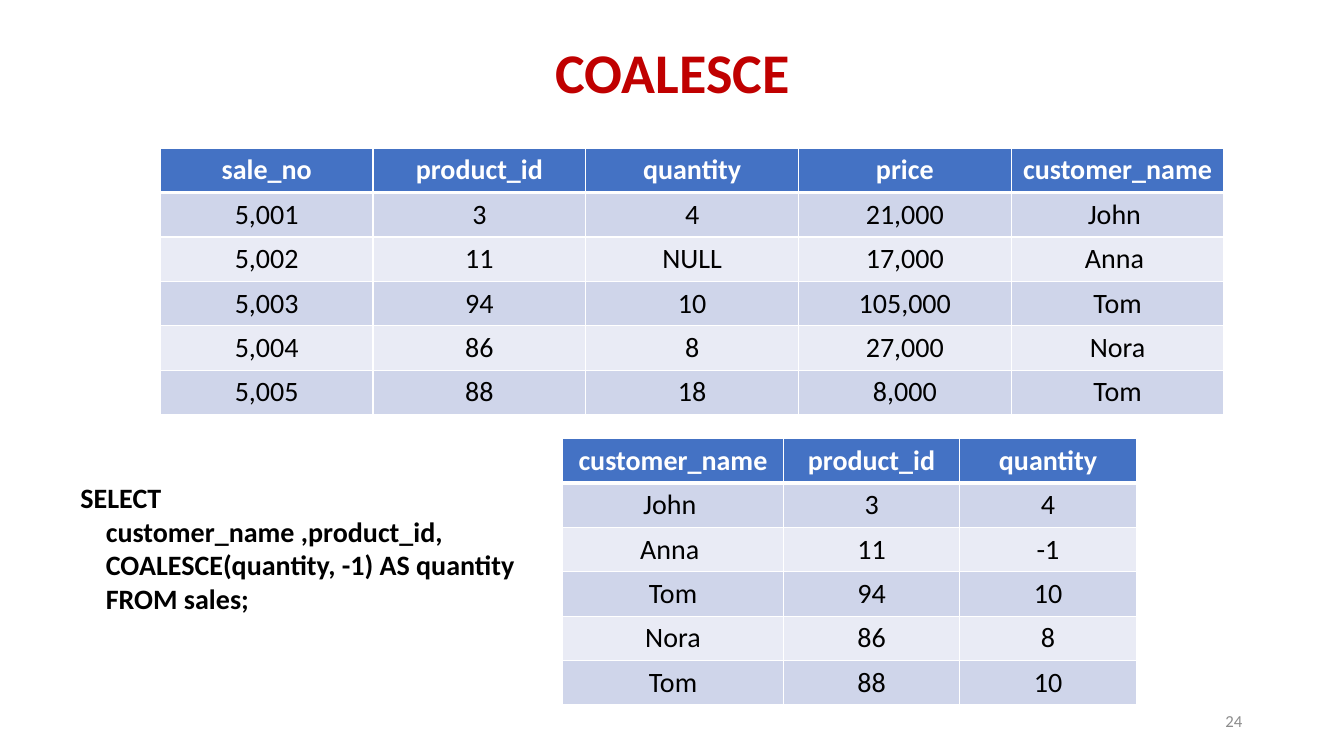
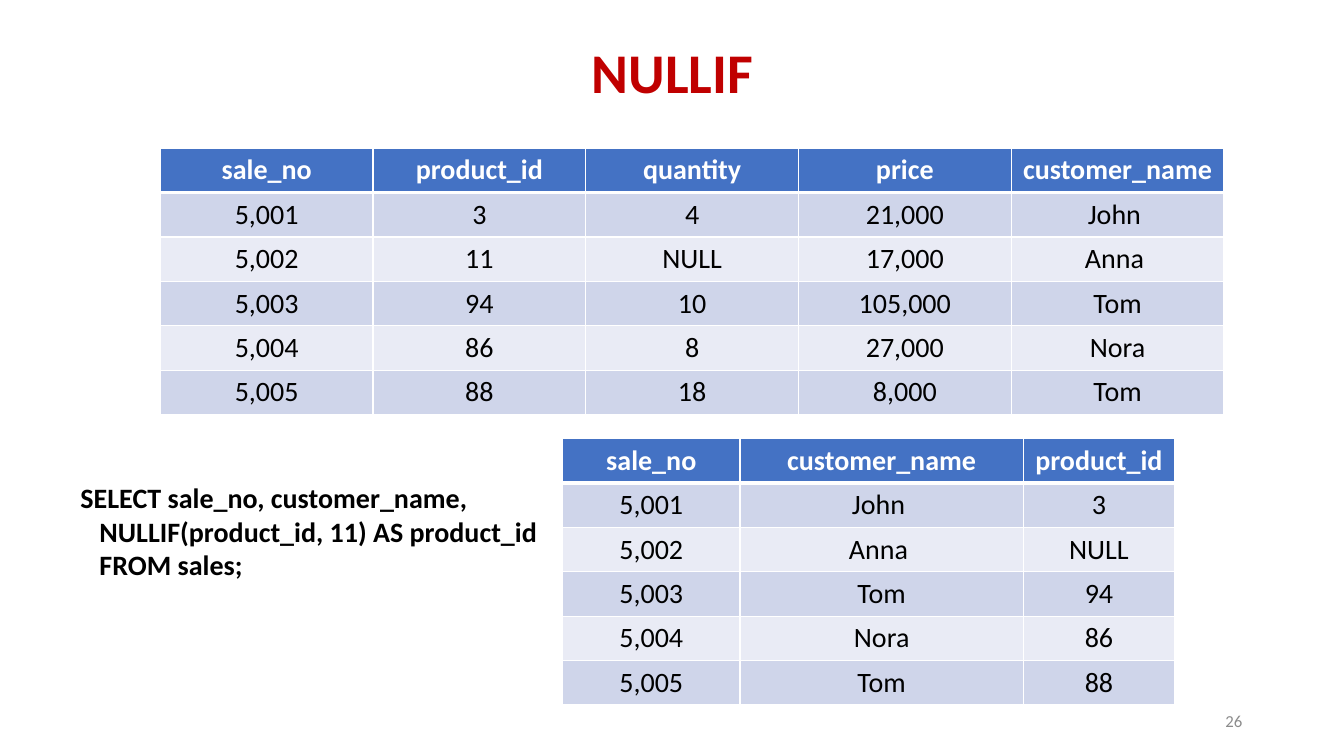
import pptx
import pptx.dml.color
import pptx.enum.text
import pptx.oxml
import pptx.oxml.ns
import pptx.util

PX = 9144
ALIGN = pptx.enum.text.PP_ALIGN
ANCHOR = pptx.enum.text.MSO_ANCHOR
AUTO_SIZE = pptx.enum.text.MSO_AUTO_SIZE
TITLE_ONLY = 5

COLORS = {
    "title": "C00000",
    "number": "8C8C8C",
    "header": "4472C4",
    "odd_row": "CFD5EA",
    "even_row": "E9EBF5",
    "light": "FFFFFF",
    "dark": "000000",
}

FORMATS = {
    "title": {"name": "Calibri", "size": pptx.util.Pt(40), "bold": True},
    "number": {"name": "Calibri", "size": pptx.util.Pt(12), "bold": False},
    "strong": {"name": "Calibri", "size": pptx.util.Pt(20), "bold": True},
    "plain": {"name": "Calibri", "size": pptx.util.Pt(20), "bold": False},
}

SALES = {
    "sale_no": ("5,001", "5,002", "5,003", "5,004", "5,005"),
    "product_id": ("3", "11", "94", "86", "88"),
    "quantity": ("4", "NULL", "10", "8", "18"),
    "price": ("21,000", "17,000", "105,000", "27,000", "8,000"),
    "customer_name": ("John ", "Anna ", "Tom", "Nora", "Tom"),
}

TOPICS = [
    {
        "title": "COALESCE",
        "number": "24",
        "query": (
            "SELECT",
            "    customer_name ,product_id,",
            "    COALESCE(quantity, -1) AS quantity",
            "    FROM sales;",
        ),
        "result": {
            "customer_name": SALES["customer_name"],
            "product_id": SALES["product_id"],
            "quantity": ("4", "-1", "10", "8", "10"),
        },
        "widths": (219, 175, 175),
    },
    {
        "title": "NULLIF",
        "number": "26",
        "query": (
            "SELECT sale_no, customer_name,",
            "   NULLIF(product_id, 11) AS product_id",
            "   FROM sales;",
        ),
        "result": {
            "sale_no": SALES["sale_no"],
            "customer_name": SALES["customer_name"],
            "product_id": ("3", "NULL", "94", "86", "88"),
        },
        "widths": (176, 281, 150),
    },
]


def px(*lengths):
    return [length * PX for length in lengths]


def rgb(role):
    return pptx.dml.color.RGBColor.from_string(COLORS[role])


class Deck:
    row_height = 41

    def __init__(self):
        self.file = pptx.Presentation()
        self.file.slide_width, self.file.slide_height = px(1333, 750)
        self.slide = None

    def add_slide(self, title):
        self.slide = self.file.slides.add_slide(self.file.slide_layouts[TITLE_ONLY])
        heading = self.slide.shapes.title
        heading.left, heading.top, heading.width, heading.height = px(92, 2, 1150, 145)
        frame = heading.text_frame
        frame.vertical_anchor = ANCHOR.MIDDLE
        self.fill_text(frame, [title], "title", "title", ALIGN.CENTER)
        frame.paragraphs[0].line_spacing = 0.9

    def fill_text(self, frame, lines, style, color, align):
        for index, line in enumerate(lines):
            paragraph = frame.add_paragraph() if index else frame.paragraphs[0]
            paragraph.alignment = align
            run = paragraph.add_run()
            run.text = line
            for key, value in FORMATS[style].items():
                setattr(run.font, key, value)
            run.font.color.rgb = rgb(color)

    def add_text(self, box, lines, style, color, align, anchor, auto_size):
        frame = self.slide.shapes.add_textbox(*px(*box)).text_frame
        settings = {"word_wrap": True, "vertical_anchor": anchor, "auto_size": auto_size}
        for key, value in settings.items():
            setattr(frame, key, value)
        self.fill_text(frame, lines, style, color, align)

    def add_number(self, number):
        self.add_text((942, 695, 300, 40), [number], "number", "number",
                      ALIGN.RIGHT, ANCHOR.MIDDLE, AUTO_SIZE.NONE)

    def add_query(self, lines):
        height = 10 + 34 * len(lines)
        self.add_text((70, 472, 667, height), lines, "strong", "dark",
                      ALIGN.JUSTIFY, ANCHOR.TOP, AUTO_SIZE.SHAPE_TO_FIT_TEXT)

    def add_borders(self, cell, row):
        properties = cell._tc.get_or_add_tcPr()
        points = {"lnL": 1, "lnR": 1, "lnT": 3 if row == 1 else 1, "lnB": 1 if row else 3}
        for side, width in points.items():
            properties.append(pptx.oxml.parse_xml(
                f'<a:{side} {pptx.oxml.ns.nsdecls("a")} w="{pptx.util.Pt(width)}">'
                f'<a:solidFill><a:srgbClr val="{COLORS["light"]}"/></a:solidFill></a:{side}>'
            ))

    def add_table(self, left, top, columns, widths):
        rows = [tuple(columns), *zip(*columns.values())]
        box = px(left, top, sum(widths), self.row_height * len(rows))
        table = self.slide.shapes.add_table(len(rows), len(widths), *box).table
        for column, width in zip(table.columns, px(*widths)):
            column.width = width
        for row, values in enumerate(rows):
            if row == 0:
                fill, style, color = "header", "strong", "light"
            else:
                fill, style, color = ("odd_row" if row % 2 else "even_row"), "plain", "dark"
            for column, value in enumerate(values):
                cell = table.cell(row, column)
                self.add_borders(cell, row)
                cell.fill.solid()
                cell.fill.fore_color.rgb = rgb(fill)
                self.fill_text(cell.text_frame, [value], style, color, ALIGN.CENTER)


def main():
    deck = Deck()
    for topic in TOPICS:
        deck.add_slide(topic["title"])
        deck.add_number(topic["number"])
        deck.add_table(159, 147, SALES, (211,) * len(SALES))
        deck.add_table(558, 435, topic["result"], topic["widths"])
        deck.add_query(topic["query"])
    deck.file.save("out.pptx")


if __name__ == "__main__":
    main()
